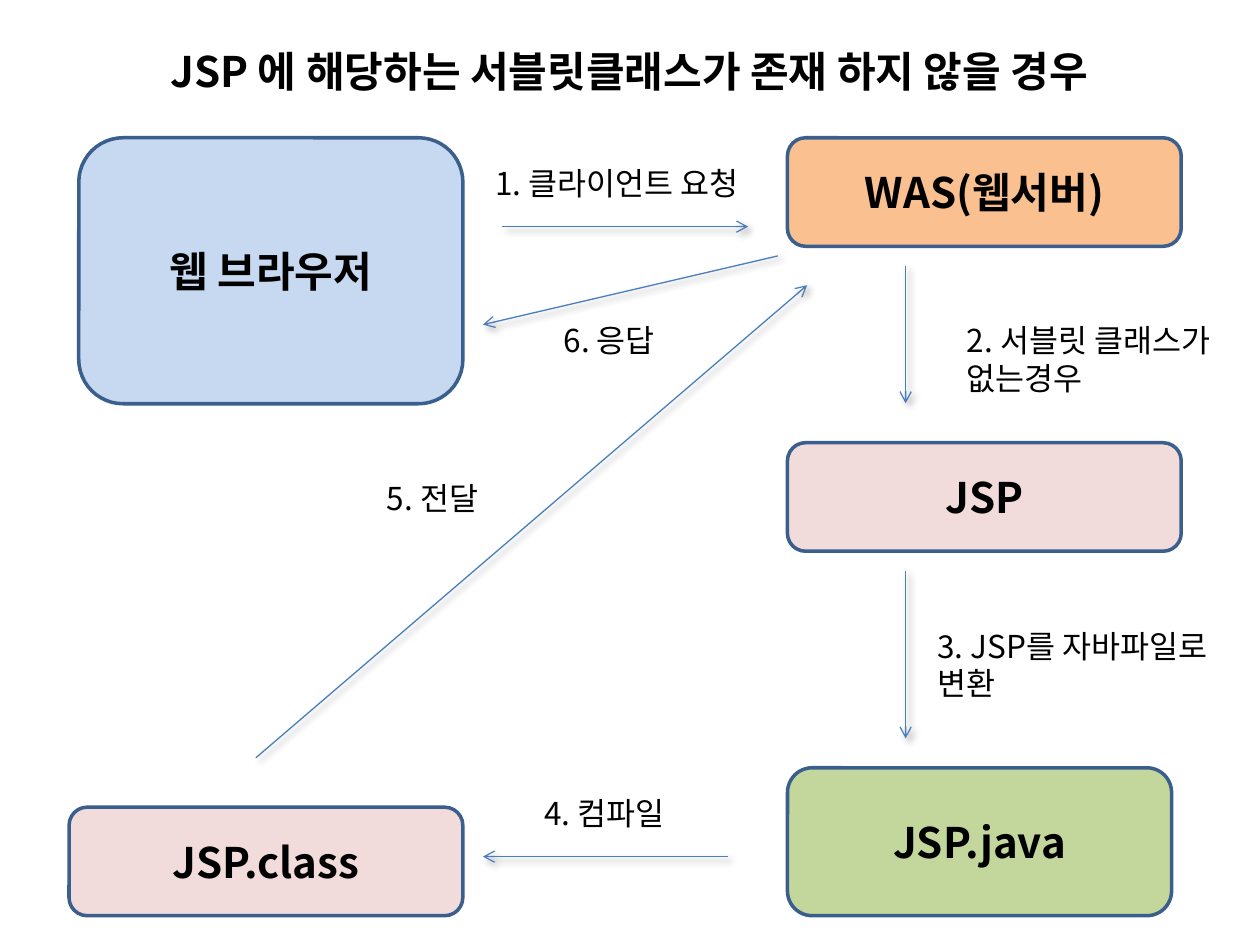
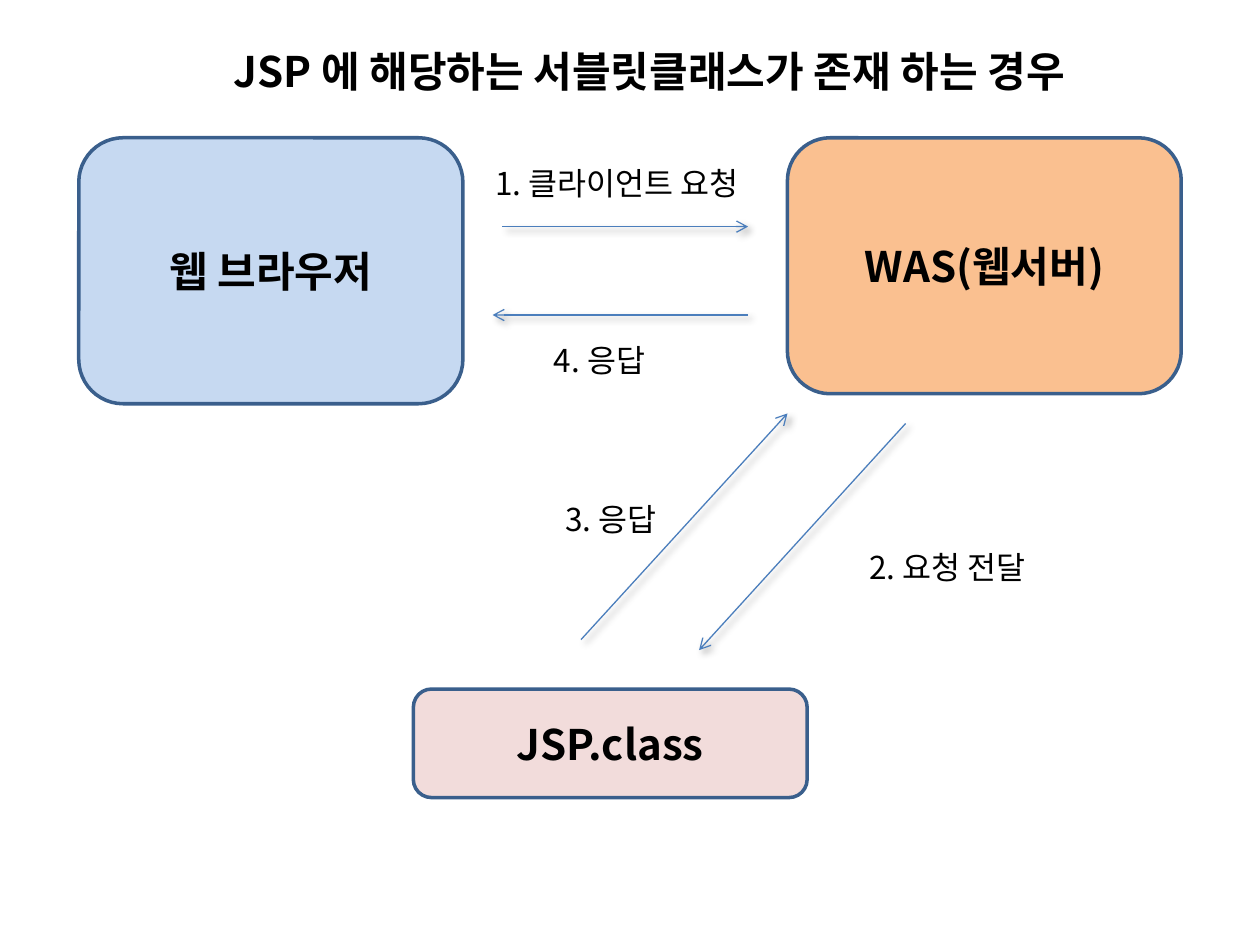
from dataclasses import dataclass, replace

from lxml.etree import SubElement
from pptx import Presentation
from pptx.dml.color import RGBColor
from pptx.enum.shapes import MSO_CONNECTOR, MSO_SHAPE
from pptx.enum.text import MSO_ANCHOR, MSO_AUTO_SIZE, PP_ALIGN
from pptx.oxml import parse_xml
from pptx.oxml.ns import nsdecls, qn
from pptx.slide import Slide
from pptx.text.text import TextFrame
from pptx.util import Pt

# Shared style
FONT = "Noto Sans CJK KR"
BLACK, OUTLINE, ARROW = "000000", "3A5F8C", "4B7EBC"
BLUE, ORANGE, GREEN, PINK = "C6D9F1", "FAC090", "C3D69B", "F2DCDB"
HEADING_SIZE, LABEL_SIZE = 24, 18
TITLE_TOP, TITLE_HEIGHT = 22.5, 36
ROW_TOP = 78.75
RIGHT_COLUMN = 450
WIDE, NARROW = 225, 219.5
LOW = 62
ARROW_SHADOW = (
    f'<a:effectLst {nsdecls("a")}>'
    '<a:outerShdw blurRad="50800" dist="38100" dir="2700000" algn="tl" rotWithShape="0">'
    '<a:srgbClr val="000000"><a:alpha val="40000"/></a:srgbClr>'
    '</a:outerShdw></a:effectLst>'
)


# All lengths are in points
@dataclass(frozen=True)
class Node:
    text: str
    fill: str
    left: float
    top: float
    width: float
    height: float


@dataclass(frozen=True)
class Arrow:
    start: tuple[float, float]
    end: tuple[float, float]


@dataclass(frozen=True)
class Label:
    text: str
    left: float
    top: float
    width: float


@dataclass(frozen=True)
class Diagram:
    title: str
    title_left: float
    title_width: float
    nodes: list[Node]
    arrows: list[Arrow]
    labels: list[Label]


# Parts that both slides use
BROWSER = Node("웹 브라우저", BLUE, 45, ROW_TOP, NARROW, 152)
SERVER = Node("WAS(웹서버)", ORANGE, RIGHT_COLUMN, ROW_TOP, WIDE, LOW)
CLASS_FILE = Node("JSP.class", PINK, 39.5, 461.25, WIDE, LOW)
REQUEST_ARROW = Arrow((287, 129.5), (427.5, 129.5))
REQUEST_LABEL = Label("1. 클라이언트 요청", 276, 90, 168.5)

DIAGRAMS = [
    Diagram(
        "JSP 에 해당하는 서블릿클래스가 존재 하지 않을 경우", 56, 607,
        nodes=[
            BROWSER,
            SERVER,
            Node("JSP", PINK, RIGHT_COLUMN, 253, WIDE, LOW),
            Node("JSP.java", GREEN, RIGHT_COLUMN, 438.75, NARROW, 84.5),
            CLASS_FILE,
        ],
        arrows=[
            REQUEST_ARROW,
            Arrow((517.5, 152), (517.5, 230.5)),
            Arrow((517.5, 326.25), (517.5, 422)),
            Arrow((416.25, 489.5), (276, 489.5)),
            Arrow((146.25, 433), (461.25, 163)),
            Arrow((444.5, 146.25), (276, 185.5)),
        ],
        labels=[
            REQUEST_LABEL,
            Label("2. 서블릿 클래스가\n없는경우", 545.5, 180, 168.5),
            Label("3. JSP를 자바파일로\n변환", 528.5, 354.5, 177),
            Label("4. 컴파일", 304, 450, 89.5),
            Label("5. 전달", 214, 270, 78),
            Label("6. 응답", 315, 180, 71.5),
        ],
    ),
    Diagram(
        "JSP 에 해당하는 서블릿클래스가 존재 하는 경우", 96, 550,
        nodes=[
            BROWSER,
            replace(SERVER, height=146.25),
            replace(CLASS_FILE, left=236.25, top=393.75),
        ],
        arrows=[
            REQUEST_ARROW,
            Arrow((517.5, 242), (399.5, 371.5)),
            Arrow((332, 365.5), (450, 236.25)),
            Arrow((427.5, 180), (281.5, 180)),
        ],
        labels=[
            REQUEST_LABEL,
            Label("2. 요청 전달", 489.5, 309.5, 114.5),
            Label("3. 응답", 316, 282, 71.5),
            Label("4. 응답", 309.5, 191.5, 71.5),
        ],
    ),
]


def rgb(value: str) -> RGBColor:
    return RGBColor.from_string(value)


def write(frame: TextFrame, text: str, size: float, bold: bool, align: PP_ALIGN) -> None:
    frame.text = text
    for para in frame.paragraphs:
        para.alignment = align
        for span in para.runs:
            span.font.name = FONT
            span.font.size = Pt(size)
            span.font.bold = bold
            span.font.color.rgb = rgb(BLACK)
            # Korean letters take the East Asian font
            SubElement(span._r.get_or_add_rPr(), qn("a:ea"), typeface=FONT)


def draw_title(page: Slide, diagram: Diagram) -> None:
    title = page.shapes.title
    title.left, title.top = Pt(diagram.title_left), Pt(TITLE_TOP)
    title.width, title.height = Pt(diagram.title_width), Pt(TITLE_HEIGHT)
    frame = title.text_frame
    write(frame, diagram.title, HEADING_SIZE, True, PP_ALIGN.CENTER)
    frame.word_wrap = False
    frame.auto_size = MSO_AUTO_SIZE.NONE
    frame.vertical_anchor = MSO_ANCHOR.TOP


def draw_node(page: Slide, node: Node) -> None:
    box = page.shapes.add_shape(
        MSO_SHAPE.ROUNDED_RECTANGLE,
        Pt(node.left), Pt(node.top), Pt(node.width), Pt(node.height),
    )
    box.shadow.inherit = False
    box.fill.solid()
    box.fill.fore_color.rgb = rgb(node.fill)
    box.line.color.rgb = rgb(OUTLINE)
    box.line.width = Pt(2)
    box.text_frame.vertical_anchor = MSO_ANCHOR.MIDDLE
    write(box.text_frame, node.text, HEADING_SIZE, True, PP_ALIGN.CENTER)


def draw_arrow(page: Slide, arrow: Arrow) -> None:
    ends = [Pt(value) for value in (*arrow.start, *arrow.end)]
    connector = page.shapes.add_connector(MSO_CONNECTOR.STRAIGHT, *ends)
    connector.line.color.rgb = rgb(ARROW)
    connector.line.width = Pt(0.75)
    SubElement(connector.line._get_or_add_ln(), qn("a:tailEnd"), type="arrow")
    connector._element.spPr.append(parse_xml(ARROW_SHADOW))


def draw_label(page: Slide, label: Label) -> None:
    height = 29 + 22 * label.text.count("\n")
    box = page.shapes.add_textbox(Pt(label.left), Pt(label.top), Pt(label.width), Pt(height))
    frame = box.text_frame
    frame.word_wrap = False
    frame.auto_size = MSO_AUTO_SIZE.SHAPE_TO_FIT_TEXT
    write(frame, label.text, LABEL_SIZE, False, PP_ALIGN.LEFT)


def main() -> None:
    deck = Presentation()
    deck.slide_width, deck.slide_height = Pt(720), Pt(540)
    title_only = deck.slide_layouts.get_by_name("Title Only")
    for diagram in DIAGRAMS:
        page = deck.slides.add_slide(title_only)
        draw_title(page, diagram)
        for node in diagram.nodes:
            draw_node(page, node)
        for arrow in diagram.arrows:
            draw_arrow(page, arrow)
        for label in diagram.labels:
            draw_label(page, label)
    deck.save("out.pptx")


if __name__ == "__main__":
    main()
